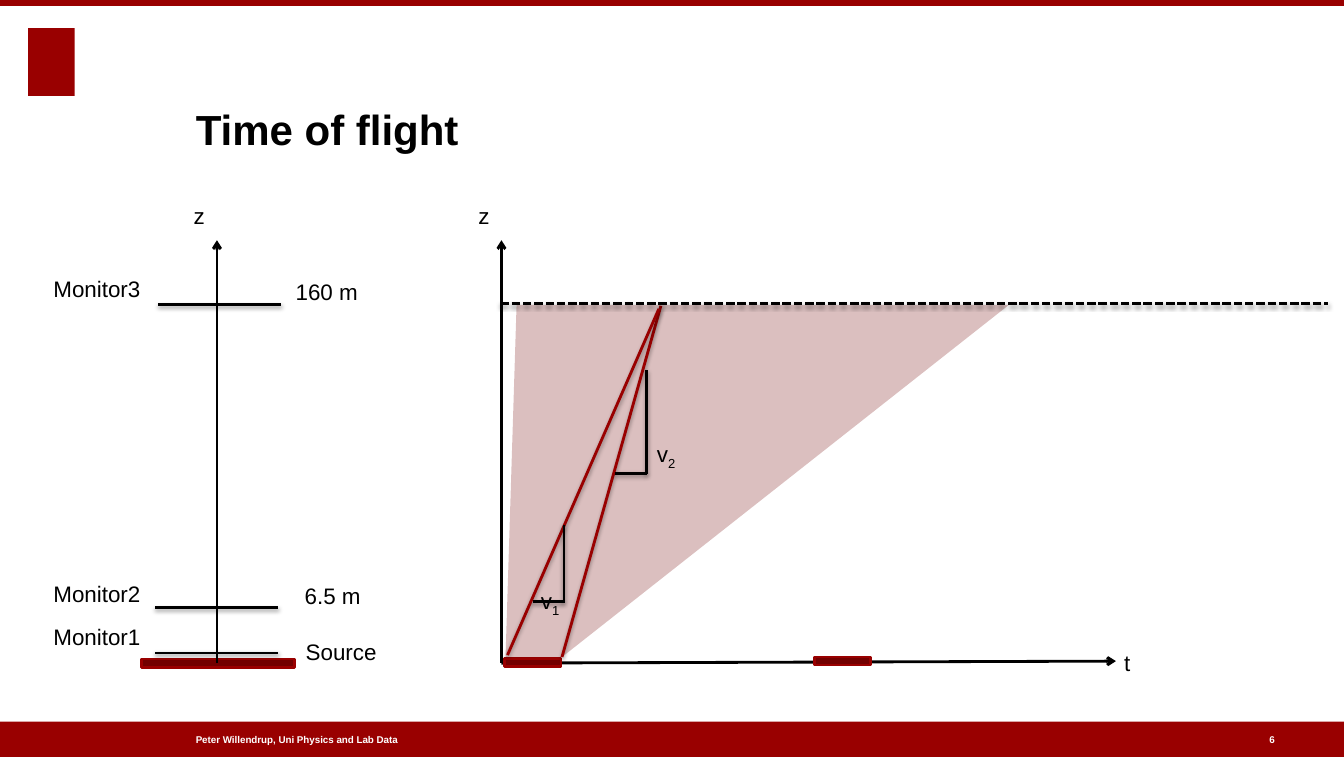
from lxml import etree
from pptx import Presentation
from pptx.dml.color import RGBColor
from pptx.enum.dml import MSO_LINE_DASH_STYLE
from pptx.enum.shapes import MSO_CONNECTOR, MSO_SHAPE
from pptx.enum.text import MSO_ANCHOR, PP_ALIGN
from pptx.oxml.ns import qn
from pptx.util import Inches, Pt

RED = RGBColor(0x99, 0x00, 0x00)
DARK_RED = RGBColor(0x73, 0x00, 0x00)
BLACK = RGBColor(0x00, 0x00, 0x00)
WHITE = RGBColor(0xFF, 0xFF, 0xFF)

RECTANGLE = MSO_SHAPE.RECTANGLE
STRAIGHT = MSO_CONNECTOR.STRAIGHT
SHORT_DASH = MSO_LINE_DASH_STYLE.SQUARE_DOT
LEFT = PP_ALIGN.LEFT
TOP = MSO_ANCHOR.TOP
MIDDLE = MSO_ANCHOR.MIDDLE
BOTTOM = MSO_ANCHOR.BOTTOM

FONT = "Arial"
TITLE_ONLY_LAYOUT = 5
AXIS_TOP, AXIS_BOTTOM = 2.38, 6.57


def place(shape, left, top, width, height):
    shape.left, shape.top = Inches(left), Inches(top)
    shape.width, shape.height = Inches(width), Inches(height)


def write_text(shape, text, size=16, color=BLACK, bold=False, anchor=TOP,
               wrap=False, subscript=""):
    frame = shape.text_frame
    frame.margin_left = frame.margin_right = 0
    frame.margin_top = frame.margin_bottom = 0
    frame.vertical_anchor = anchor
    frame.word_wrap = wrap
    paragraph = frame.paragraphs[0]
    paragraph.alignment = LEFT
    for part in filter(None, (text, subscript)):
        run = paragraph.add_run()
        run.text = part
        run.font.name = FONT
        run.font.size = Pt(size)
        run.font.bold = bold
        run.font.color.rgb = color
    if subscript:
        run.font._element.set("baseline", "-25000")


def add_label(slide, text, left, top, width, height=0.4, **text_format):
    box = slide.shapes.add_textbox(
        Inches(left), Inches(top), Inches(width), Inches(height))
    write_text(box, text, **text_format)


def add_bar(slide, left, top, width, height, fill=RED, outline=None):
    bar = slide.shapes.add_shape(
        RECTANGLE, Inches(left), Inches(top), Inches(width), Inches(height))
    bar.shadow.inherit = False
    bar.fill.solid()
    bar.fill.fore_color.rgb = fill
    if outline is None:
        bar.line.fill.background()
    else:
        bar.line.color.rgb = outline
        bar.line.width = Pt(2)


def add_pulse(slide, left, top, width):
    """Add a source pulse: a thin outlined bar."""
    add_bar(slide, left, top, width, 0.08, fill=DARK_RED, outline=RED)


def add_line(slide, start, end, color=BLACK, dash=None, arrow=False, shadow=True):
    line = slide.shapes.add_connector(
        STRAIGHT, Inches(start[0]), Inches(start[1]), Inches(end[0]), Inches(end[1]))
    line.line.color.rgb = color
    line.line.width = Pt(2)
    if dash is not None:
        line.line.dash_style = dash
    properties = line._element.spPr
    if arrow:
        etree.SubElement(properties.find(qn("a:ln")), qn("a:tailEnd"), type="arrow")
    effects = etree.SubElement(properties, qn("a:effectLst"))
    if shadow:
        outer = etree.SubElement(
            effects, qn("a:outerShdw"), blurRad=str(Pt(3)), dist=str(Pt(1.6)),
            dir="5400000", rotWithShape="0")
        shade = etree.SubElement(outer, qn("a:srgbClr"), val=str(BLACK))
        etree.SubElement(shade, qn("a:alpha"), val="38000")


def add_axis(slide, start, end):
    add_line(slide, start, end, arrow=True, shadow=False)


def add_z_axis(slide, x):
    add_axis(slide, (x, AXIS_BOTTOM), (x, AXIS_TOP))
    add_label(slide, "z", x - 0.23, 2, 0.11)


def add_velocity_region(slide):
    """Add the translucent area that the neutrons can reach."""
    corners = [(5.01, 6.52), (5.12, 3.02), (10, 3.02), (5.57, 6.51)]
    points = [(Inches(x), Inches(y)) for x, y in corners]
    builder = slide.shapes.build_freeform(*points[0])
    builder.add_line_segments(points[1:], close=True)
    region = builder.convert_to_shape()
    region.shadow.inherit = False
    region.line.fill.background()
    region.fill.solid()
    region.fill.fore_color.rgb = DARK_RED
    color = region._element.spPr.find(qn("a:solidFill")).find(qn("a:srgbClr"))
    etree.SubElement(color, qn("a:alpha"), val="25000")


def add_slope(slide, left, right, bottom, top):
    """Add the two legs of a slope triangle."""
    add_line(slide, (left, bottom), (right, bottom))
    add_line(slide, (right, bottom + 0.01), (right, top))


def add_page_frame(slide):
    add_bar(slide, 0.28, 0.28, 0.46, 0.67)
    add_bar(slide, 0, 7.15, 13.32, 0.35)
    add_bar(slide, 0, 0, 13.32, 0.06)
    small = {"size": 7, "color": WHITE, "bold": True, "anchor": MIDDLE}
    add_label(slide, "Peter Willendrup, Uni Physics and Lab Data",
              1.94, 7.26, 3.72, 0.14, wrap=True, **small)
    add_label(slide, "6", 12.58, 7.26, 0.14, 0.14, **small)
    title = slide.shapes.title
    place(title, 1.94, 0.47, 10.18, 1.06)
    write_text(title, "Time of flight", size=30, bold=True, anchor=BOTTOM, wrap=True)


def add_time_diagram(slide):
    add_z_axis(slide, 4.97)
    add_axis(slide, (4.97, AXIS_BOTTOM), (11.06, 6.55))
    add_label(slide, "t", 11.14, 6.43, 0.06)
    add_pulse(slide, 5, 6.52, 0.56)
    add_pulse(slide, 8.07, 6.51, 0.56)
    add_velocity_region(slide)

    add_line(slide, (5.57, 6.51), (6.55, 3.03), color=RED)
    add_slope(slide, 6.1, 6.41, 4.69, 3.67)
    add_label(slide, "v", 6.51, 4.36, 0.19, subscript="2")
    add_line(slide, (4.96, 3.01), (13.16, 3.01), dash=SHORT_DASH)

    add_line(slide, (5.03, 6.49), (6.53, 3.06), color=RED)
    add_label(slide, "v", 5.36, 5.82, 0.19, subscript="1")
    add_slope(slide, 5.28, 5.59, 5.96, 5.2)


def add_beamline(slide):
    add_pulse(slide, 1.4, 6.53, 1.52)
    for left, y in ((1.54, 6.47), (1.54, 6.02), (1.57, 3.02)):
        add_line(slide, (left, y), (left + 1.22, y))
    for number, top in enumerate((6.17, 5.75, 2.73), start=1):
        add_label(slide, f"Monitor{number}", 0.53, top, 0.87)
    add_z_axis(slide, 2.15)
    add_label(slide, "Source", 3.03, 6.32, 0.71)
    add_label(slide, "6.5 m", 3.02, 5.77, 0.56)
    add_label(slide, "160 m", 2.93, 2.76, 0.62)


def main():
    presentation = Presentation()
    presentation.slide_width = Inches(13.32)
    presentation.slide_height = Inches(7.5)
    layout = presentation.slide_layouts[TITLE_ONLY_LAYOUT]
    slide = presentation.slides.add_slide(layout)
    add_page_frame(slide)
    add_time_diagram(slide)
    add_beamline(slide)
    presentation.save("out.pptx")


if __name__ == "__main__":
    main()
